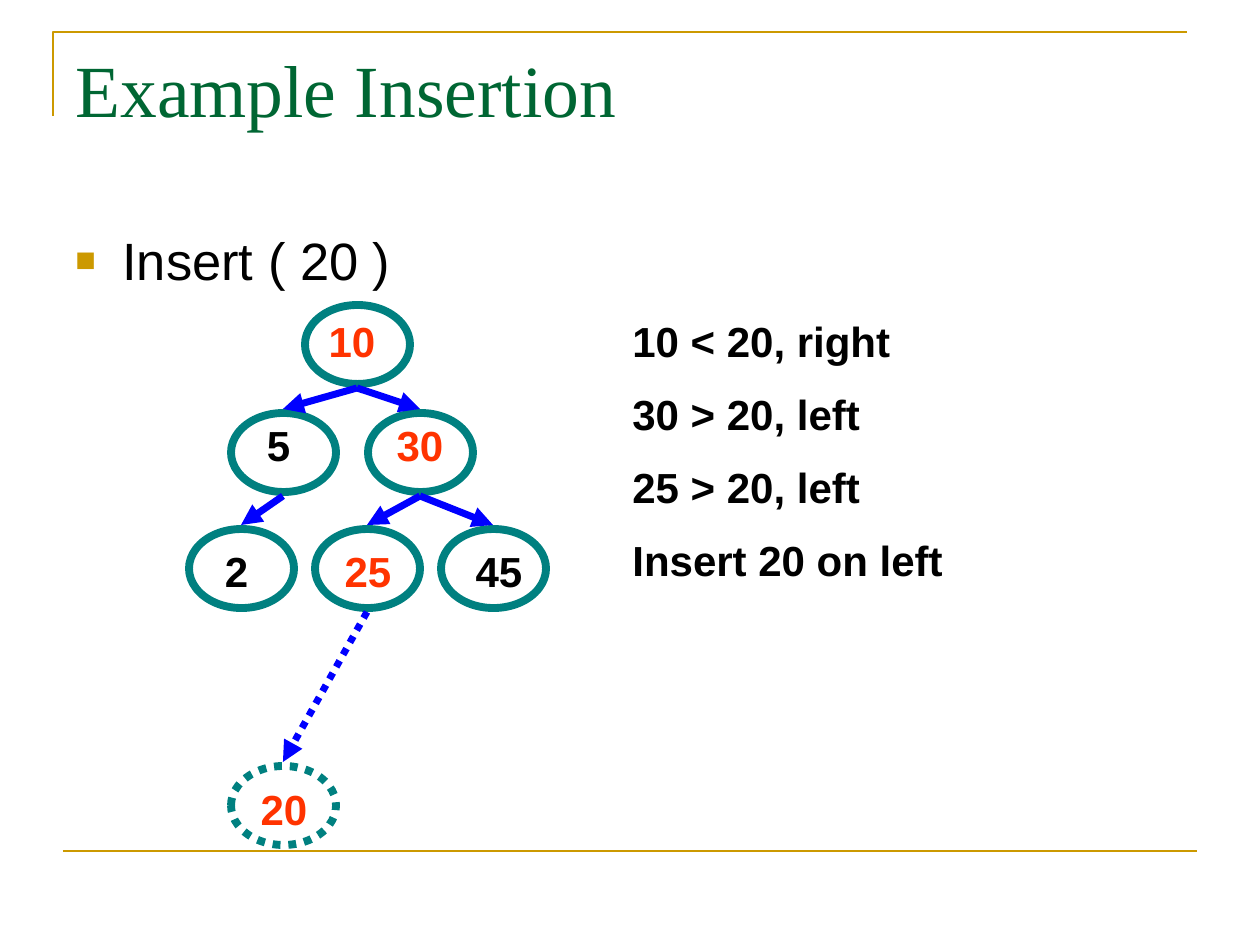
"""Builds a slide that walks through inserting 20 into a binary search tree."""
from lxml import etree
from pptx import Presentation, util as u
from pptx.dml.color import RGBColor
from pptx.enum import dml, shapes, text
from pptx.oxml.ns import qn

PX = 914400 // 126
COLORS = {"gold": "CC9900", "green": "006633", "teal": "008080",
          "blue": "0000FF", "red": "FF3300", "black": "000000"}
TITLE = "Example Insertion"
TASK = "Insert ( 20 )"
STEPS = ["10 < 20, right", "30 > 20, left", "25 > 20, left", "Insert 20 on left"]
NODE_W, NODE_H, GAP = 105, 79, 4
LABEL_H = 63
NODES = {
    "10": {"at": (305, 305), "label": (315, 309, 74), "color": "red"},
    "5": {"at": (231, 413), "label": (252, 413, 53), "color": "black"},
    "30": {"at": (368, 413), "label": (378, 413, 84), "color": "red"},
    "2": {"at": (189, 529), "label": (210, 539, 53), "color": "black"},
    "25": {"at": (315, 529), "label": (326, 539, 84), "color": "red"},
    "45": {"at": (441, 529), "label": (462, 539, 74), "color": "black"},
    "20": {"at": (231, 766), "label": (242, 777, 84), "color": "red"},
}
EDGES = [("10", "5"), ("10", "30"), ("5", "2"), ("30", "25"), ("30", "45"), ("25", "20")]
NEW = "20"


def px(*nums):
    return [u.Emu(n * PX) for n in nums]


def rgb(name):
    return RGBColor.from_string(COLORS[name])


def style(para, size, color, face="Arial", bold=False):
    for run in para.runs:
        font = run.font
        font.name, font.size, font.bold = face, u.Pt(size), bold
        font.color.rgb = rgb(color)


def stroke(line, color, width, dotted=False):
    line.color.rgb = rgb(color)
    line.width = u.Pt(width)
    if dotted:
        line.dash_style = dml.MSO_LINE.ROUND_DOT


def add_line(slide, start, end, color, width, dotted=False, arrow=False):
    link = slide.shapes.add_connector(shapes.MSO_CONNECTOR.STRAIGHT, *px(*start, *end))
    stroke(link.line, color, width, dotted)
    if arrow:
        etree.SubElement(link.line._get_or_add_ln(), qn("a:tailEnd"), type="triangle")
    etree.SubElement(link._element.spPr, qn("a:effectLst"))


def add_text(slide, box, lines, size, color, bold=False, align=None, gap=0):
    frame = slide.shapes.add_textbox(*px(*box)).text_frame
    frame.word_wrap = True
    frame.text = "\n".join(lines)
    for i, para in enumerate(frame.paragraphs):
        para.alignment = align
        if i and gap:
            para.space_before = u.Pt(gap)
        style(para, size, color, bold=bold)
    return frame


def add_bullet(para, indent):
    props = para._p.get_or_add_pPr()
    props.set("marL", str(indent * PX))
    props.set("indent", str(-indent * PX))
    tint = etree.SubElement(props, qn("a:buClr"))
    etree.SubElement(tint, qn("a:srgbClr"), val=COLORS["gold"])
    etree.SubElement(props, qn("a:buSzPct"), val="65000")
    etree.SubElement(props, qn("a:buFont"), typeface="Arial")
    etree.SubElement(props, qn("a:buChar"), char="■")


def add_frame(slide):
    build = slide.shapes.build_freeform(53, 116, scale=PX)
    build.add_line_segments([(53, 32), (1187, 32)], close=False)
    corner = build.convert_to_shape()
    corner.shadow.inherit = False
    corner.fill.background()
    stroke(corner.line, "gold", 1.5)
    add_line(slide, (63, 851), (1197, 851), "gold", 1.5)


def add_title(slide):
    title = slide.shapes.title
    title.left, title.top, title.width, title.height = px(63, 38, 1134, 158)
    frame = title.text_frame
    frame.text = TITLE
    frame.vertical_anchor = text.MSO_ANCHOR.TOP
    frame.paragraphs[0].alignment = text.PP_ALIGN.LEFT
    style(frame.paragraphs[0], 42, "green", "Times New Roman")


def add_tree(slide):
    for name, node in NODES.items():
        oval = slide.shapes.add_shape(shapes.MSO_SHAPE.OVAL, *px(*node["at"], NODE_W, NODE_H))
        oval.shadow.inherit = False
        oval.fill.background()
        stroke(oval.line, "teal", 4.5, name == NEW)
    for top, low in EDGES:
        (x1, y1), (x2, y2) = NODES[top]["at"], NODES[low]["at"]
        mid = NODE_W // 2
        add_line(slide, (x1 + mid, y1 + NODE_H + GAP), (x2 + mid, y2 - GAP),
                 "blue", 4, low == NEW, True)
    for name, node in NODES.items():
        add_text(slide, (*node["label"], LABEL_H), [name], 24, node["color"],
                 True, text.PP_ALIGN.CENTER)


def main():
    deck = Presentation()
    deck.slide_width, deck.slide_height = px(1260, 945)
    slide = deck.slides.add_slide(deck.slide_layouts[5])
    add_frame(slide)
    add_title(slide)
    task = add_text(slide, (63, 222, 1134, 622), [TASK], 30, "black")
    add_bullet(task.paragraphs[0], 47)
    add_tree(slide)
    add_text(slide, (620, 309, 473, 290), STEPS, 24, "black", True, gap=13)
    deck.save("out.pptx")


if __name__ == "__main__":
    main()
